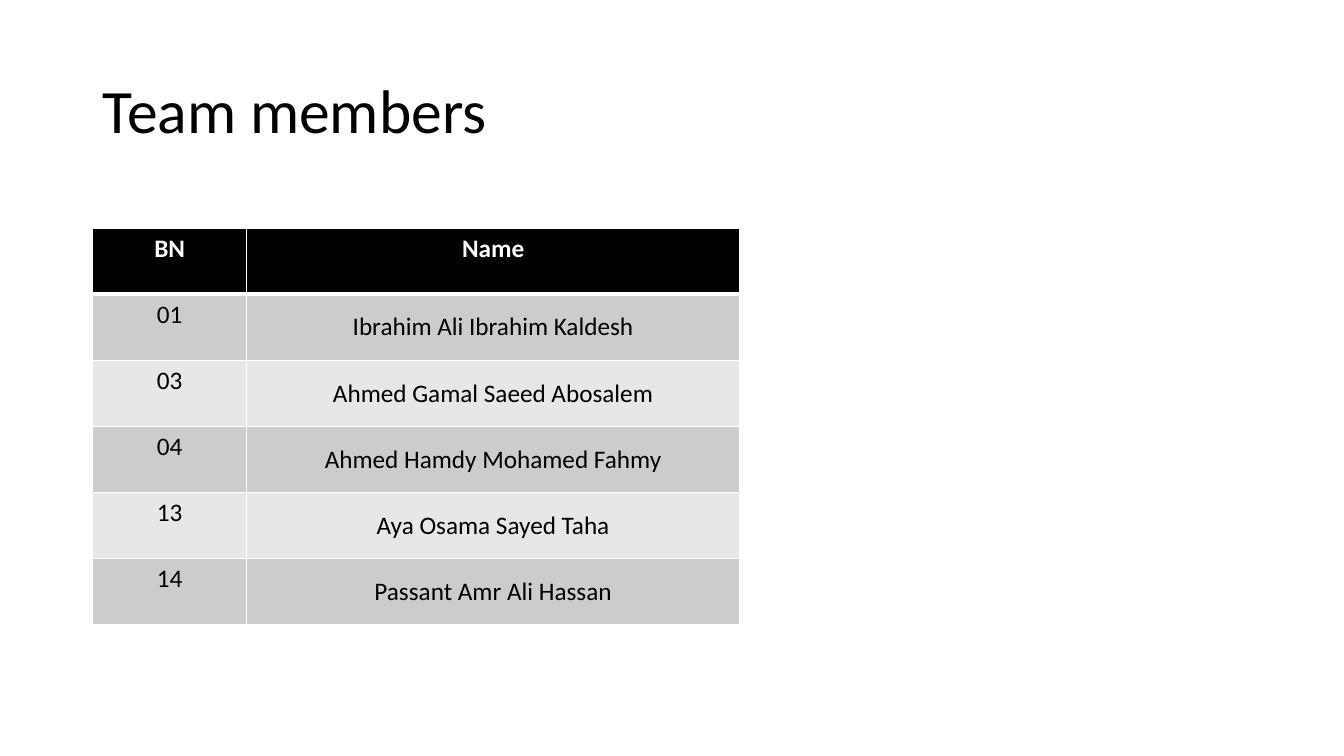
import pptx
import pptx.util
import pptx.dml.color
import pptx.enum.text
import pptx.oxml
import pptx.oxml.ns

Pt = pptx.util.Pt
ALIGN = pptx.enum.text.PP_ALIGN
ANCHOR = pptx.enum.text.MSO_ANCHOR
COLORS = {"ink": "000000", "paper": "FFFFFF", "dark": "CCCCCC", "light": "E7E7E7"}
TEAM = [
    ("BN", "Name"),
    ("01", "Ibrahim Ali Ibrahim Kaldesh"),
    ("03", "Ahmed Gamal Saeed Abosalem"),
    ("04", "Ahmed Hamdy Mohamed Fahmy"),
    ("13", "Aya Osama Sayed Taha"),
    ("14", "Passant Amr Ali Hassan"),
]


class Deck:
    """Hold the style and the current slide, and add elements to it."""

    def __init__(self, font):
        self.font = font
        self.show = pptx.Presentation()
        self.show.slide_width = Pt(960)
        self.show.slide_height = Pt(540)
        self.slide = self.show.slides.add_slide(self.show.slide_layouts[5])

    def color(self, name):
        return pptx.dml.color.RGBColor.from_string(COLORS[name])

    def label(self, frame, text, size, color, align, bold=False):
        frame.text = text
        para = frame.paragraphs[0]
        para.alignment = align
        font = para.runs[0].font
        font.name, font.size, font.bold = self.font, Pt(size), bold
        font.color.rgb = self.color(color)
        return para

    def title(self, text, left, top, width, height):
        shape = self.slide.shapes.title
        shape.left, shape.top = Pt(left), Pt(top)
        shape.width, shape.height = Pt(width), Pt(height)
        frame = shape.text_frame
        frame.auto_size = pptx.enum.text.MSO_AUTO_SIZE.NONE
        frame.vertical_anchor = ANCHOR.MIDDLE
        para = self.label(frame, text, 44, "ink", ALIGN.LEFT)
        para.line_spacing = 0.9

    def border(self, cell, side, width):
        space = pptx.oxml.ns.nsdecls("a")
        line = pptx.oxml.parse_xml(
            f'<a:ln{side} {space} w="{Pt(width)}"><a:solidFill>'
            f'<a:srgbClr val="{COLORS["paper"]}"/></a:solidFill></a:ln{side}>')
        cell._tc.get_or_add_tcPr().append(line)

    def table(self, data, left, top, widths, height):
        frame = self.slide.shapes.add_table(
            len(data), len(widths), Pt(left), Pt(top),
            Pt(sum(widths)), Pt(height * len(data)))
        grid = frame.table
        for col, width in zip(grid.columns, widths):
            col.width = Pt(width)
        for i, texts in enumerate(data):
            grid.rows[i].height = Pt(height)
            head = i == 0
            fill = "ink" if head else "dark" if i % 2 else "light"
            for j, text in enumerate(texts):
                cell = grid.cell(i, j)
                for side in "LRTB":
                    thick = (i, side) in ((0, "B"), (1, "T"))
                    self.border(cell, side, 3 if thick else 1)
                cell.fill.solid()
                cell.fill.fore_color.rgb = self.color(fill)
                self.label(cell.text_frame, text, 18,
                           "paper" if head else "ink", ALIGN.CENTER, head)
                if j and not head:
                    cell.vertical_anchor = ANCHOR.MIDDLE
                    cell.margin_left = cell.margin_right = Pt(7.5)


def main():
    deck = Deck("Calibri")
    deck.title("Team members", 66, 28.75, 828, 104.4)
    deck.table(TEAM, 66.25, 163, (110, 352), 47.2)
    deck.show.save("out.pptx")


if __name__ == "__main__":
    main()
